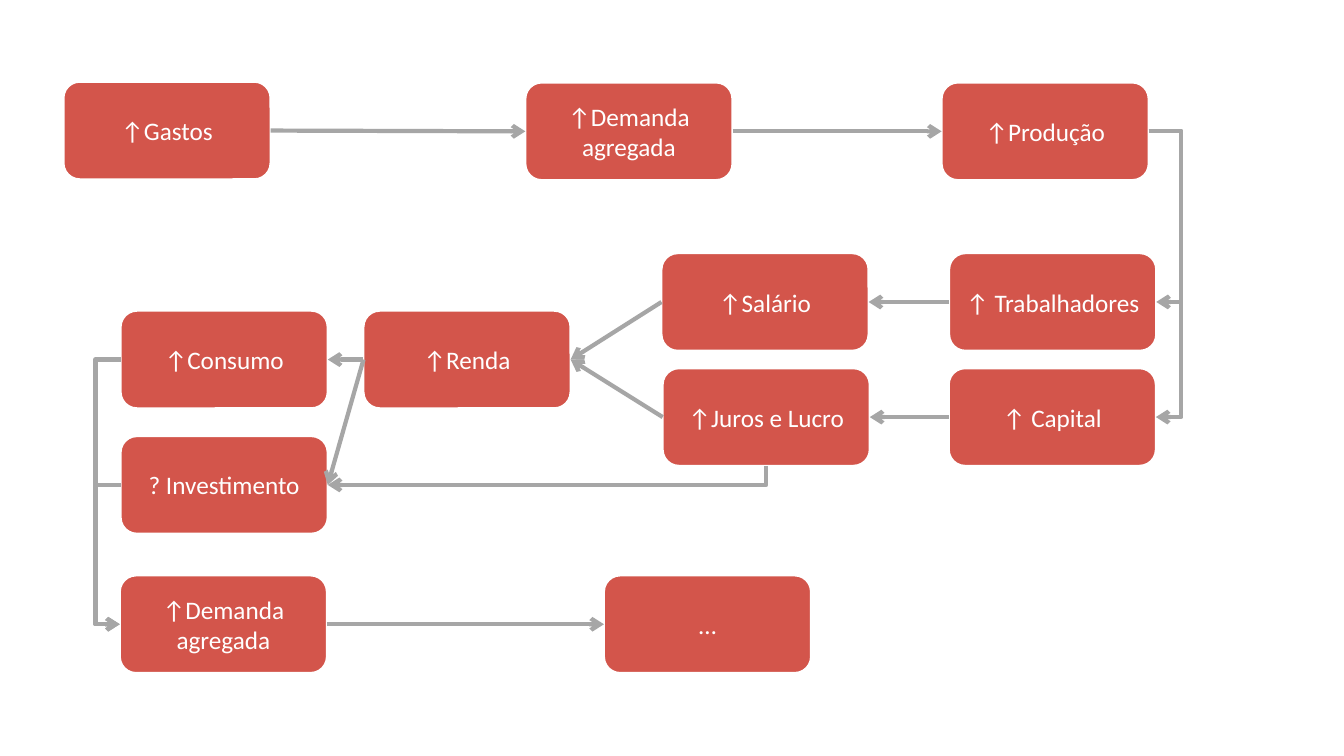
from pptx import Presentation, util as u
from pptx.dml.color import RGBColor
from pptx.enum import shapes, text
from pptx.oxml import ns, parse_xml

RED = RGBColor(0xD3, 0x55, 0x4B)
GRAY = RGBColor(0xA6, 0xA6, 0xA6)
WHITE = RGBColor(0xFF, 0xFF, 0xFF)
WIDE, HIGH = u.Cm(5.22), u.Cm(2.46)
TOP, LEFT, BASE, RIGHT = range(4)
KIND = shapes.MSO_CONNECTOR

deck = Presentation()
deck.slide_width, deck.slide_height = u.Cm(33.87), u.Cm(19.05)
slide = deck.slides.add_slide(deck.slide_layouts[6])


def box(label, x, y, size=18, font="Calibri", color=WHITE, fill=RED):
    card = slide.shapes.add_shape(
        shapes.MSO_SHAPE.ROUNDED_RECTANGLE, u.Cm(x), u.Cm(y), WIDE, HIGH)
    card.shadow.inherit = False
    card.fill.solid()
    card.fill.fore_color.rgb = fill
    card.line.color.rgb = WHITE
    card.line.width = u.Pt(1.5)
    frame = card.text_frame
    frame.word_wrap = True
    frame.vertical_anchor = text.MSO_ANCHOR.MIDDLE
    para = frame.paragraphs[0]
    para.alignment = text.PP_ALIGN.CENTER
    run = para.add_run()
    run.text = label
    run.font.size = u.Pt(size)
    run.font.name = font
    run.font.color.rgb = color
    return card


def arrow(kind, x1, y1, x2, y2):
    link = slide.shapes.add_connector(kind, x1, y1, x2, y2)
    link.line.color.rgb = GRAY
    link.line.width = u.Pt(3)
    link.line._get_or_add_ln().append(
        parse_xml(f'<a:tailEnd {ns.nsdecls("a")} type="arrow"/>'))
    link._element.spPr.append(parse_xml(f'<a:effectLst {ns.nsdecls("a")}/>'))
    return link


spend = box("↑Gastos", 1.6, 2.06)
demand = box("↑Demanda agregada", 13.24, 2.08)
output = box("↑Produção", 23.73, 2.08)
staff = box("↑ Trabalhadores", 23.92, 6.38)
stock = box("↑ Capital", 23.91, 9.28)
wage = box("↑Salário", 16.67, 6.38)
profit = box("↑Juros e Lucro", 16.7, 9.28)
income = box("↑Renda", 9.16, 7.83)
buy = box("↑Consumo", 3.04, 7.83)
invest = box("? Investimento", 3.04, 10.99)
again = box("↑Demanda agregada", 3.02, 14.5)
more = box("…", 15.22, 14.5)

for start, out, end, into in [
    (spend, RIGHT, demand, LEFT),
    (demand, RIGHT, output, LEFT),
    (staff, LEFT, wage, RIGHT),
    (stock, LEFT, profit, RIGHT),
    (wage, LEFT, income, RIGHT),
    (profit, LEFT, income, RIGHT),
    (income, LEFT, buy, RIGHT),
    (income, LEFT, invest, RIGHT),
    (again, RIGHT, more, LEFT),
]:
    link = arrow(KIND.STRAIGHT, 0, 0, 0, 0)
    link.begin_connect(start, out)
    link.end_connect(end, into)

for start, end, side, bend in [
    (output, stock, WIDE, 29.77),
    (output, staff, WIDE, 29.77),
    (buy, again, 0, 2.41),
    (invest, again, 0, 2.41),
]:
    x1, x2 = start.left + side, end.left + side
    link = arrow(KIND.ELBOW, x1, start.top + HIGH // 2, x2, end.top + HIGH // 2)
    ratio = round((u.Cm(bend) - x1) / (x2 - x1) * 100000)
    geom = link._element.spPr.find(ns.qn("a:prstGeom"))
    geom.get_or_add_avLst().append(parse_xml(
        f'<a:gd {ns.nsdecls("a")} name="adj1" fmla="val {ratio}"/>'))

x1, y1 = profit.left + WIDE // 2, profit.top + HIGH
x2, y2 = invest.left + WIDE, invest.top + HIGH // 2
mid, row = (x1 + x2) // 2, (y1 + y2) // 2
drop, span = (y2 - y1) // 2, (x1 - x2) // 2
link = arrow(KIND.ELBOW, mid - drop, row - span, mid + drop, row + span)
props = link._element.spPr
props.find(ns.qn("a:prstGeom")).set("prst", "bentConnector2")
props.find(ns.qn("a:xfrm")).set("rot", "5400000")

deck.save("out.pptx")
